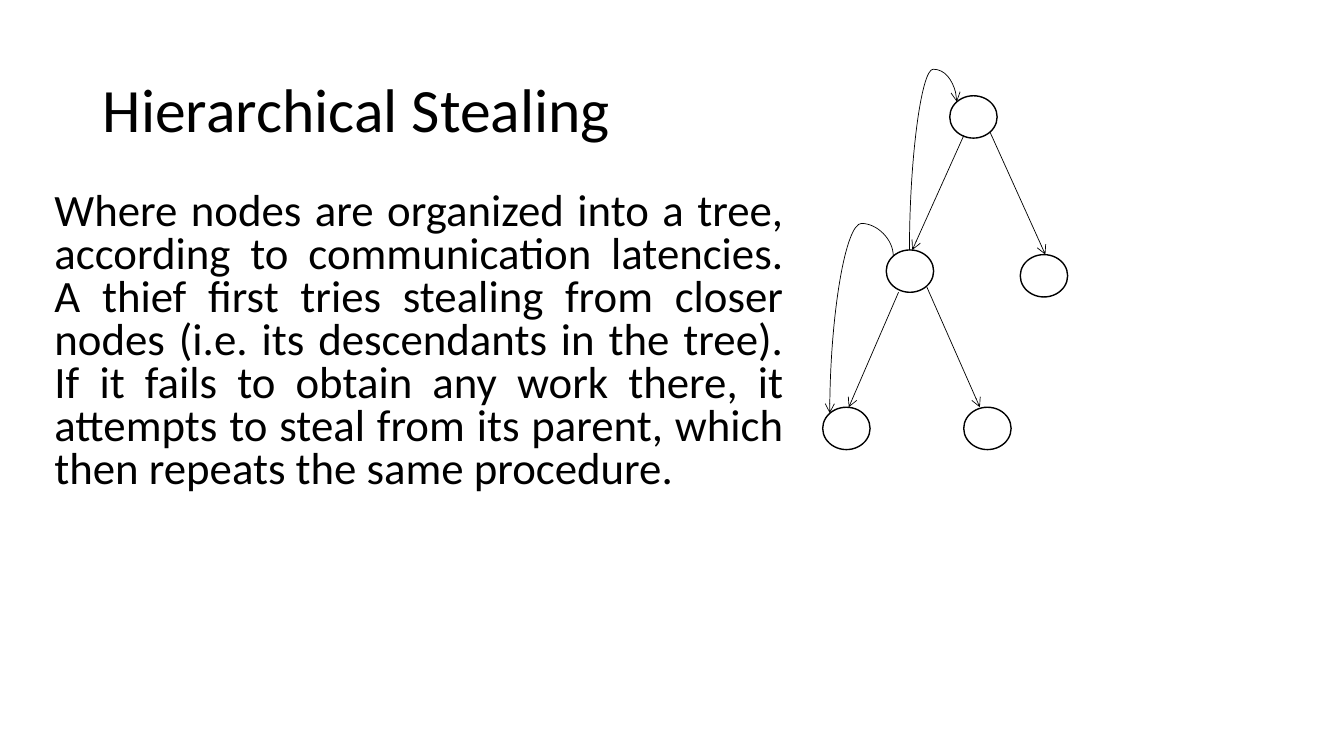
from pptx import Presentation
from pptx.dml.color import RGBColor
from pptx.enum.shapes import MSO_CONNECTOR, MSO_SHAPE
from pptx.enum.text import MSO_ANCHOR, MSO_AUTO_SIZE, PP_ALIGN
from pptx.oxml.ns import qn
from pptx.util import Inches, Pt
from lxml import etree

OVAL = MSO_SHAPE.OVAL
STRAIGHT, CURVE = MSO_CONNECTOR.STRAIGHT, MSO_CONNECTOR.CURVE
LEFT, JUSTIFY = PP_ALIGN.LEFT, PP_ALIGN.JUSTIFY
TOP, MIDDLE = MSO_ANCHOR.TOP, MSO_ANCHOR.MIDDLE
NO_AUTOFIT = MSO_AUTO_SIZE.NONE

COLORS = {"ink": "000000", "paper": "FFFFFF"}
FONT = "Calibri"
SLIDE_W, SLIDE_H = 13.33, 7.5

# Tree grid, in inches
TREE_LEFT, TREE_TOP = 8.16, 0.95
COLUMN, ROW = 0.63, 1.545
NODE_W, NODE_H = 0.47, 0.42

# Node: column and row
NODES = {
    "root": (2, 0),
    "thief": (1, 0.99),
    "sibling": (3.11, 1.02),
    "left leaf": (0, 2),
    "right leaf": (2.22, 2),
}
# Parent, child, and the ends as shares of each node's box
BRANCHES = [
    ("root", (0.3, 0.93), "thief", (0.55, 0)),
    ("root", (0.85, 0.86), "sibling", (0.53, 0)),
    ("thief", (0.26, 1), "left leaf", (0.55, 0)),
    ("thief", (0.85, 0.86), "right leaf", (0.34, 0)),
]
# The same, then the height of the bend in rows
STEALS = [
    ("thief", (0.15, 0.14), "left leaf", (0.15, 0.14), 0.82),
    ("thief", (0.49, 0), "root", (0.15, 0.14), -0.17),
]

TITLE = "Hierarchical Stealing"
EXPLANATION = (
    "Where nodes are organized into a tree, according to communication "
    "latencies. A thief first tries stealing from closer nodes (i.e. its "
    "descendants in the tree). If it fails to obtain any work there, it "
    "attempts to steal from its parent, which then repeats the same procedure."
)


def color(key):
    return RGBColor.from_string(COLORS[key])


def point_on(node, share=(0, 0)):
    column, row = NODES[node]
    return (TREE_LEFT + column * COLUMN + share[0] * NODE_W,
            TREE_TOP + row * ROW + share[1] * NODE_H)


def fill_placeholder(holder, text, box, size, align, anchor, spacing, before=0):
    """Box is left, top, width, height as shares of the slide."""
    holder.left, holder.width = (Inches(box[i] * SLIDE_W) for i in (0, 2))
    holder.top, holder.height = (Inches(box[i] * SLIDE_H) for i in (1, 3))
    frame = holder.text_frame
    frame.text = text
    frame.word_wrap = True
    frame.auto_size = NO_AUTOFIT
    frame.vertical_anchor = anchor
    paragraph = frame.paragraphs[0]
    paragraph.alignment = align
    paragraph.line_spacing = spacing
    paragraph.space_before = Pt(before)
    paragraph.font.name = FONT
    paragraph.font.size = Pt(size)
    paragraph.font.color.rgb = color("ink")
    properties = paragraph._p.get_or_add_pPr()
    properties.set("marL", "0")
    properties.set("indent", "0")
    bullet = etree.Element(qn("a:buNone"))
    properties.find(qn("a:spcBef")).addnext(bullet)


def add_node(slide, node):
    left, top = point_on(node)
    oval = slide.shapes.add_shape(OVAL, Inches(left), Inches(top),
                                  Inches(NODE_W), Inches(NODE_H))
    oval.shadow.inherit = False
    oval.fill.solid()
    oval.fill.fore_color.rgb = color("paper")
    oval.line.color.rgb = color("ink")
    oval.line.width = Pt(1)


def add_arrow(slide, kind, start, end):
    arrow = slide.shapes.add_connector(kind, *map(Inches, (*start, *end)))
    arrow.line.color.rgb = color("ink")
    arrow.line.width = Pt(0.5)
    etree.SubElement(arrow.line._get_or_add_ln(), qn("a:tailEnd"), type="arrow")
    etree.SubElement(arrow._element.spPr, qn("a:effectLst"))
    return arrow


def add_steal_arrow(slide, start, end, bend):
    """Curve that leaves upwards: a sideways one, turned by 270 degrees."""
    middle_x, middle_y = ((a + b) / 2 for a, b in zip(start, end))
    flat_start, flat_end = (
        (middle_x - (y - middle_y), middle_y + (x - middle_x))
        for x, y in (start, end))
    arrow = add_arrow(slide, CURVE, flat_start, flat_end)
    properties = arrow._element.spPr
    properties.find(qn("a:xfrm")).set("rot", str(270 * 60000))
    share = (start[1] - bend) / (start[1] - end[1])
    guides = properties.find(qn("a:prstGeom")).get_or_add_avLst()
    etree.SubElement(guides, qn("a:gd"), name="adj1",
                     fmla=f"val {round(share * 100000)}")


def main():
    deck = Presentation()
    deck.slide_width, deck.slide_height = Inches(SLIDE_W), Inches(SLIDE_H)
    slide = deck.slides.add_slide(deck.slide_layouts[1])

    # Title and explanation
    title, explanation = slide.placeholders
    fill_placeholder(title, TITLE, (0.069, 0.053, 0.863, 0.193),
                     44, LEFT, MIDDLE, 0.9)
    fill_placeholder(explanation, EXPLANATION, (0.033, 0.247, 0.558, 0.608),
                     32, JUSTIFY, TOP, 0.8, before=10)

    # Tree of nodes
    for node in NODES:
        add_node(slide, node)
    for parent, leave, child, arrive in BRANCHES:
        add_arrow(slide, STRAIGHT, point_on(parent, leave), point_on(child, arrive))

    # Steal attempts
    for thief, leave, victim, arrive, bend_row in STEALS:
        add_steal_arrow(slide, point_on(thief, leave), point_on(victim, arrive),
                        TREE_TOP + bend_row * ROW)

    deck.save("out.pptx")


main()
